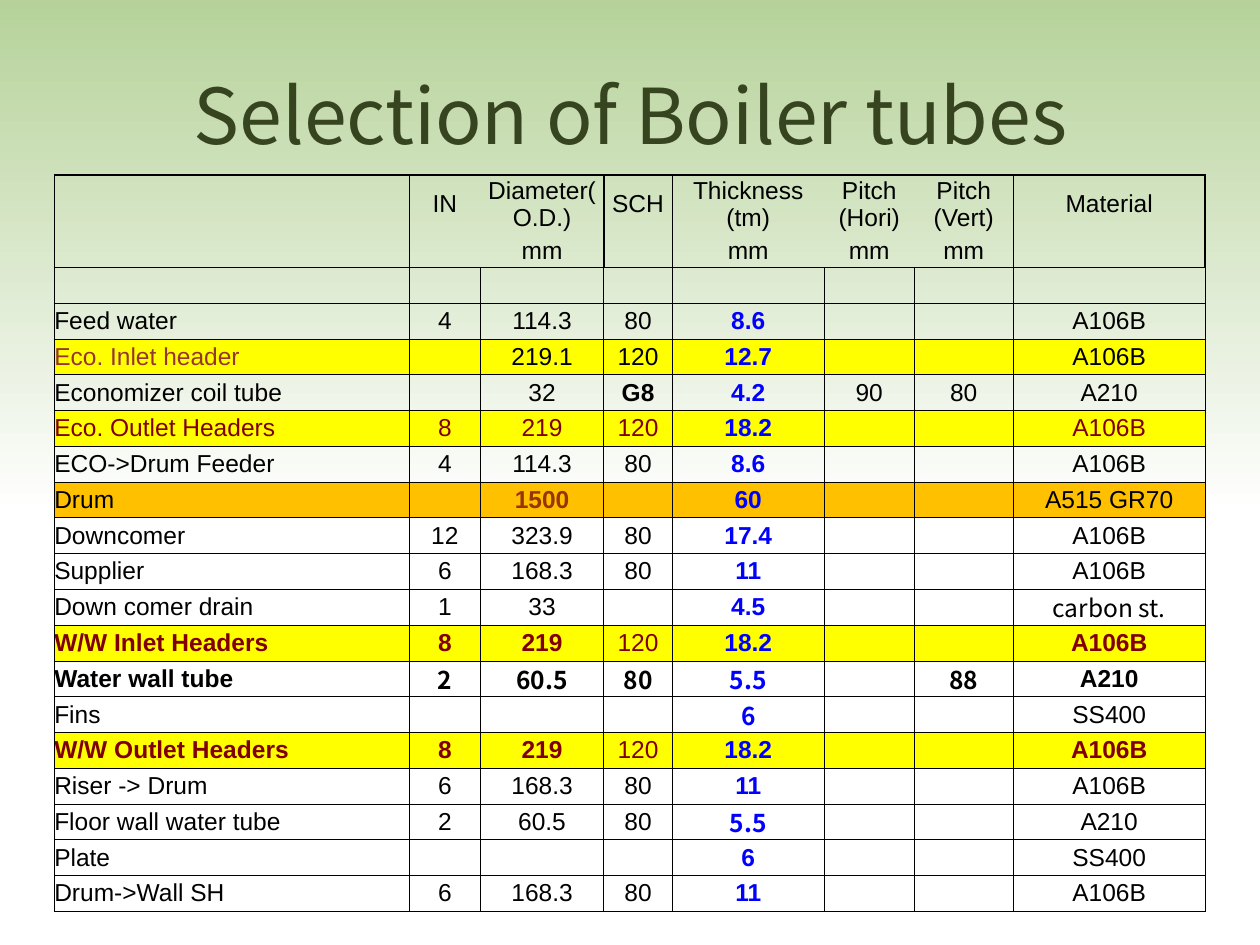
"""Build the boiler tube selection slide."""
from lxml.etree import SubElement
from pptx import Presentation
from pptx.dml.color import RGBColor
from pptx.enum.shapes import MSO_SHAPE as SHAPE
from pptx.enum.text import MSO_ANCHOR as ANCHOR, PP_ALIGN as ALIGN
from pptx.oxml import parse_xml
from pptx.oxml.ns import nsdecls, qn
from pptx.util import Pt

BLACK = RGBColor(0x00, 0x00, 0x00)
WHITE = RGBColor(0xFF, 0xFF, 0xFF)
GREEN = RGBColor(0xB6, 0xD2, 0x9A)
OLIVE = RGBColor(0x37, 0x44, 0x20)
YELLOW = RGBColor(0xFF, 0xFF, 0x00)
ORANGE = RGBColor(0xFF, 0xC0, 0x00)
BLUE = RGBColor(0x00, 0x00, 0xFF)
MAROON = RGBColor(0x80, 0x00, 0x00)
BRICK = RGBColor(0x96, 0x36, 0x34)
RUST = RGBColor(0x99, 0x33, 0x00)
SANS, CJK = "Arial", "Noto Sans CJK KR"

HEADER_ROWS = 2
THICKNESS = 4
COL_WIDTHS = [202.9, 40.6, 70.6, 39.1, 86.9, 51.4, 56.6, 109.7]
ROW_HEIGHTS = [32.2, 19.2] + [20.46] * 18
ROWS = [
    ["", "IN", "Diameter(O.D.)", "SCH", "Thickness (tm)", "Pitch (Hori)", "Pitch (Vert)", "Material"],
    ["", "", "mm", "", "mm", "mm", "mm", ""],
    [""] * 8,
    ["Feed water", "4", "114.3", "80", "8.6", "", "", "A106B"],
    ["Eco. Inlet header", "", "219.1", "120", "12.7", "", "", "A106B"],
    ["Economizer coil tube", "", "32", "G8", "4.2", "90", "80", "A210"],
    ["Eco. Outlet Headers", "8", "219", "120", "18.2", "", "", "A106B"],
    ["ECO->Drum Feeder", "4", "114.3", "80", "8.6", "", "", "A106B"],
    ["Drum", "", "1500", "", "60", "", "", "A515 GR70"],
    ["Downcomer", "12", "323.9", "80", "17.4", "", "", "A106B"],
    ["Supplier", "6", "168.3", "80", "11", "", "", "A106B"],
    ["Down comer drain", "1", "33", "", "4.5", "", "", "carbon st."],
    ["W/W Inlet Headers", "8", "219", "120", "18.2", "", "", "A106B"],
    ["Water wall tube", "2", "60.5", "80", "5.5", "", "88", "A210"],
    ["Fins", "", "", "", "6", "", "", "SS400"],
    ["W/W Outlet Headers", "8", "219", "120", "18.2", "", "", "A106B"],
    ["Riser -> Drum", "6", "168.3", "80", "11", "", "", "A106B"],
    ["Floor wall water tube", "2", "60.5", "80", "5.5", "", "", "A210"],
    ["Plate", "", "", "", "6", "", "", "SS400"],
    ["Drum->Wall SH", "6", "168.3", "80", "11", "", "", "A106B"],
]
ROW_FILLS = {4: YELLOW, 6: YELLOW, 8: ORANGE, 12: YELLOW, 15: YELLOW}
ROW_INKS = {6: MAROON, 12: MAROON, 15: MAROON}
BOLD_ROWS = {12, 13, 15}
CELL_INKS = {(4, 0): BRICK, (8, 2): RUST}
CELL_BOLD = {(5, 3): True, (8, 2): True, (12, 3): False, (15, 3): False}
CJK_CELLS = {(11, 7), (13, 1), (13, 2), (13, 3), (13, 4), (13, 6), (14, 4), (17, 4)}
OPEN_RIGHT = {1, 4, 5}


def add_run(p, text, size, font, color, bold=False):
    r = p.add_run()
    r.text = text
    r.font.size = Pt(size)
    r.font.name = font
    r.font.color.rgb = color
    r.font.bold = bold


def set_borders(cell, widths):
    tc_pr = cell._tc.get_or_add_tcPr()
    for i, (side, width) in enumerate(zip("LRTB", widths)):
        paint = '<a:solidFill><a:srgbClr val="000000"/></a:solidFill>' if width else "<a:noFill/>"
        line = f'<a:ln{side} {nsdecls("a")} w="{Pt(width)}">{paint}</a:ln{side}>'
        tc_pr.insert(i, parse_xml(line))


prs = Presentation()
prs.slide_width, prs.slide_height = Pt(720), Pt(540)
s = prs.slides.add_slide(prs.slide_layouts[6])
s.background.fill.solid()
s.background.fill.fore_color.rgb = WHITE

sp = s.shapes.add_shape(SHAPE.RECTANGLE, Pt(0), Pt(0), Pt(720), Pt(293.76))
sp.shadow.inherit = False
sp.line.fill.background()
sp.fill.gradient()
sp.fill.gradient_angle = 270
for stop, color, position in zip(sp.fill.gradient_stops, (GREEN, WHITE), (0, 1)):
    stop.color.rgb = color
    stop.position = position

tf = s.shapes.add_textbox(Pt(36.5), Pt(20), Pt(648), Pt(90)).text_frame
tf.word_wrap = True
tf.vertical_anchor = ANCHOR.MIDDLE
p = tf.paragraphs[0]
p.alignment = ALIGN.CENTER
add_run(p, "Selection of Boiler tubes", 44, CJK, OLIVE)

table = s.shapes.add_table(len(ROWS), len(COL_WIDTHS), Pt(31), Pt(100),
                           Pt(sum(COL_WIDTHS)), Pt(sum(ROW_HEIGHTS))).table
table.first_row = table.horz_banding = False
for col, width in zip(table.columns, COL_WIDTHS):
    col.width = Pt(width)
for row, height in zip(table.rows, ROW_HEIGHTS):
    row.height = Pt(height)

for i, values in enumerate(ROWS):
    for j, text in enumerate(values):
        cell = table.cell(i, j)
        cell.margin_left = cell.margin_right = cell.margin_top = cell.margin_bottom = 0
        cell.vertical_anchor = ANCHOR.MIDDLE
        if i in ROW_FILLS:
            cell.fill.solid()
            cell.fill.fore_color.rgb = ROW_FILLS[i]
        else:
            cell.fill.background()
        if i < HEADER_ROWS:
            left = 0 if j - 1 in OPEN_RIGHT else 1
            right = 0 if j in OPEN_RIGHT else 1
            set_borders(cell, (left, right, 1 - i, 0.5 * i))
        else:
            set_borders(cell, (0.5, 0.5, 0.5, 0.5))

        p = cell.text_frame.paragraphs[0]
        p.alignment = ALIGN.CENTER if j else ALIGN.LEFT
        if not text:
            SubElement(p._p, qn("a:endParaRPr"), sz="1400")
            continue
        is_thickness = j == THICKNESS and i >= HEADER_ROWS
        ink = BLUE if is_thickness else CELL_INKS.get((i, j), ROW_INKS.get(i, BLACK))
        bold = CELL_BOLD.get((i, j), is_thickness or i in BOLD_ROWS)
        add_run(p, text, 14, CJK if (i, j) in CJK_CELLS else SANS, ink, bold)

prs.save("out.pptx")
